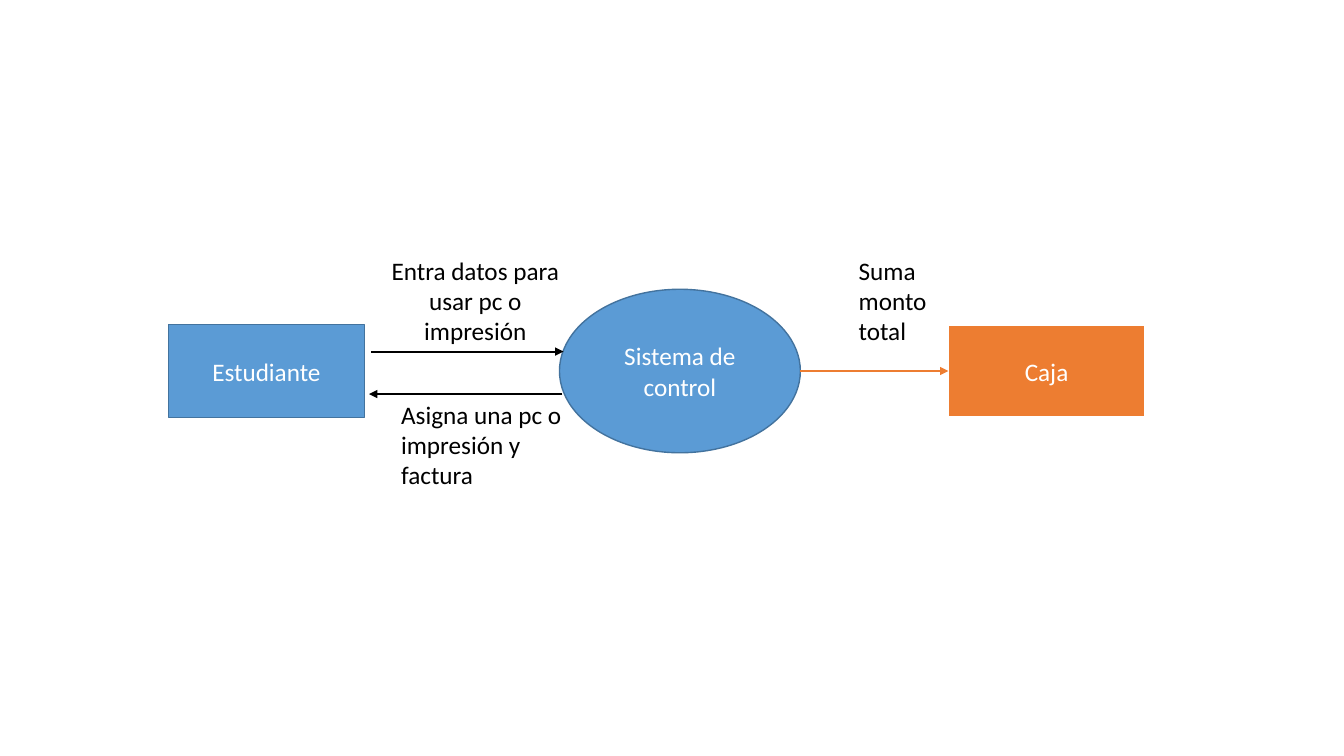
from lxml import etree
from pptx import Presentation
from pptx.dml.color import RGBColor
from pptx.enum.shapes import MSO_CONNECTOR, MSO_SHAPE
from pptx.enum.text import MSO_ANCHOR, MSO_AUTO_SIZE, PP_ALIGN
from pptx.oxml.ns import qn
from pptx.util import Cm, Pt

PROCESS, OVAL = MSO_SHAPE.FLOWCHART_PROCESS, MSO_SHAPE.OVAL
STRAIGHT = MSO_CONNECTOR.STRAIGHT
LEFT, CENTER = PP_ALIGN.LEFT, PP_ALIGN.CENTER
MIDDLE = MSO_ANCHOR.MIDDLE
GROW = MSO_AUTO_SIZE.SHAPE_TO_FIT_TEXT

BLUE = RGBColor(0x5B, 0x9B, 0xD5)
DARK_BLUE = RGBColor(0x43, 0x73, 0x9E)
ORANGE = RGBColor(0xED, 0x7D, 0x31)
BLACK = RGBColor(0, 0, 0)
WHITE = RGBColor(255, 255, 255)


class FlowSlide:
    """Style and drawing methods for one slide; lengths are in cm."""
    font, size = "Calibri", Pt(18)

    def __init__(self, prs):
        self.s = prs.slides.add_slide(prs.slide_layouts[6])

    def set_text(self, sp, text, color, align):
        tf = sp.text_frame
        tf.word_wrap = True
        p = tf.paragraphs[0]
        p.text, p.alignment = text, align
        p.font.name, p.font.size = self.font, self.size
        p.font.color.rgb = color
        return tf

    def node(self, kind, x, y, w, h, text, fill, line, weight):
        sp = self.s.shapes.add_shape(kind, Cm(x), Cm(y), Cm(w), Cm(h))
        sp.shadow.inherit = False
        sp.fill.solid()
        sp.fill.fore_color.rgb = fill
        sp.line.color.rgb = line
        sp.line.width = Pt(weight)
        self.set_text(sp, text, WHITE, CENTER).vertical_anchor = MIDDLE

    def label(self, x, y, w, text, align=LEFT):
        sp = self.s.shapes.add_textbox(Cm(x), Cm(y), Cm(w), Cm(2.56))
        self.set_text(sp, text, BLACK, align).auto_size = GROW

    def arrow(self, x1, x2, y, color):
        sp = self.s.shapes.add_connector(STRAIGHT, Cm(x1), Cm(y), Cm(x2), Cm(y))
        sp.line.color.rgb = color
        sp.line.width = Pt(1.5)
        props = sp.element.spPr
        etree.SubElement(props.find(qn("a:ln")), qn("a:tailEnd"), type="triangle")
        etree.SubElement(props, qn("a:effectLst"))


prs = Presentation()
prs.slide_width, prs.slide_height = Cm(33.87), Cm(19.05)
flow = FlowSlide(prs)

# Nodes share one horizontal axis
AXIS = 9.35
BOX_W, BOX_H = 4.95, 2.34
OVAL_X, OVAL_W, OVAL_H = 14.1, 6.07, 4.12
CAJA_X = 23.9
BOX_Y = AXIS - BOX_H / 2
flow.node(PROCESS, 4.24, BOX_Y, BOX_W, BOX_H, "Estudiante", BLUE, DARK_BLUE, 1)
flow.node(OVAL, OVAL_X, AXIS - OVAL_H / 2, OVAL_W, OVAL_H,
          "Sistema de control", BLUE, DARK_BLUE, 1)
flow.node(PROCESS, CAJA_X, BOX_Y, BOX_W, BOX_H, "Caja", ORANGE, WHITE, 1.5)

# Data flows
REQUEST_Y, REPLY_Y = 8.86, 9.93
flow.arrow(14.17, 9.3, REPLY_Y, BLACK)
flow.arrow(9.35, 14.2, REQUEST_Y, BLACK)
flow.arrow(OVAL_X + OVAL_W, CAJA_X, AXIS, ORANGE)

# Flow labels
TOP = 6.3
flow.label(9.3, TOP, 5.36, "Entra datos para usar pc o impresión", CENTER)
flow.label(9.86, REPLY_Y, 4.6, "Asigna una pc o impresión y factura")
flow.label(21.39, TOP, 3.02, "Suma monto total")

prs.save("out.pptx")
